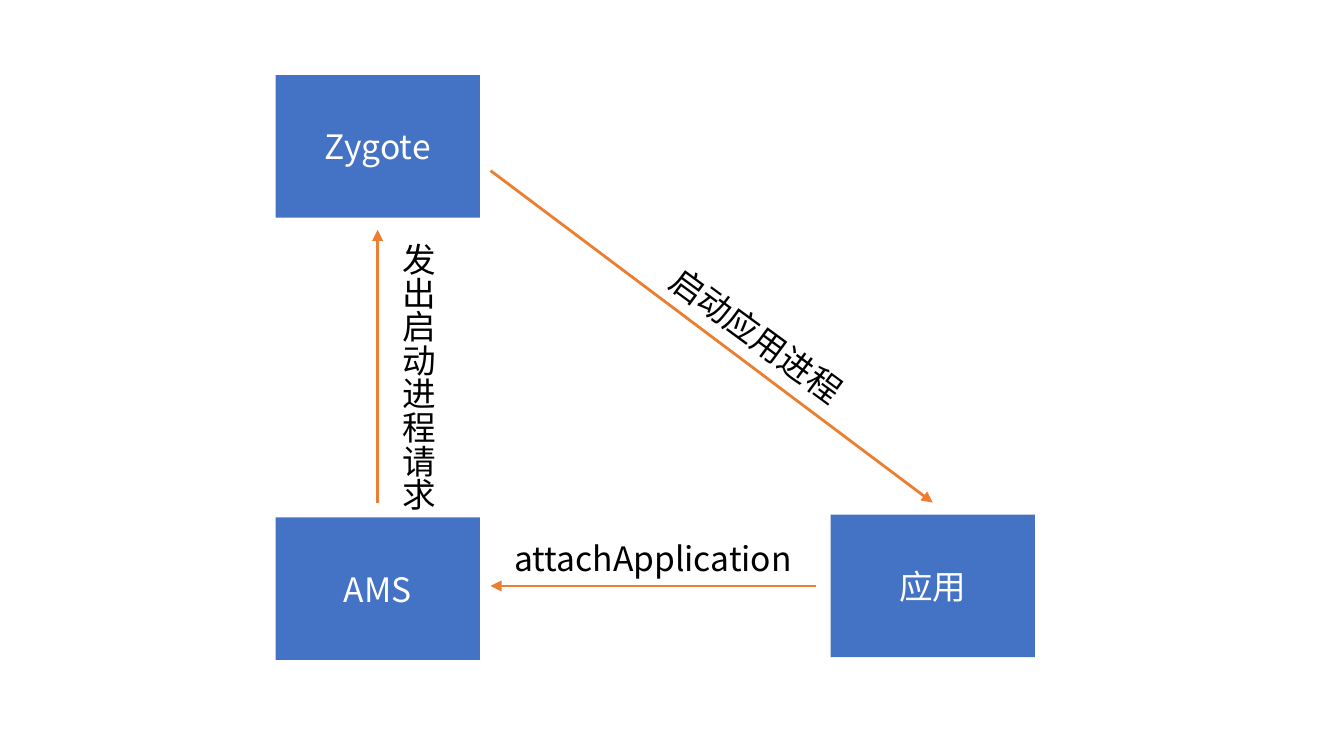
from lxml import etree
from pptx import Presentation
from pptx.dml.color import RGBColor
from pptx.enum import shapes, text
from pptx.oxml.ns import qn
from pptx.util import Inches, Pt

FONT = "Noto Sans CJK SC"
BLUE = RGBColor(0x44, 0x72, 0xC4)
ORANGE = RGBColor(0xED, 0x7D, 0x31)
WHITE = RGBColor(0xFF, 0xFF, 0xFF)
BLACK = RGBColor(0, 0, 0)
NODE_SIZE = (1.52, 1.06)


def write(frame, wording, color, align):
    """Put one formatted paragraph into a text frame."""
    paragraph = frame.paragraphs[0]
    paragraph.text = wording
    paragraph.alignment = align
    font = paragraph.font
    font.size, font.name = Pt(18), FONT
    font.color.rgb = color
    defaults = paragraph._p.get_or_add_pPr().find(qn("a:defRPr"))
    etree.SubElement(defaults, qn("a:ea"), typeface=FONT)


def add_node(slide, name, left, top):
    """Draw one process as a blue box."""
    node = slide.shapes.add_shape(
        shapes.MSO_SHAPE.RECTANGLE, *map(Inches, (left, top, *NODE_SIZE)))
    node.shadow.inherit = False
    node.fill.solid()
    node.fill.fore_color.rgb = BLUE
    node.line.fill.background()
    node.text_frame.vertical_anchor = text.MSO_ANCHOR.MIDDLE
    write(node.text_frame, name, WHITE, text.PP_ALIGN.CENTER)


def add_arrow(slide, start, end):
    """Draw an orange arrow between two points."""
    arrow = slide.shapes.add_connector(
        shapes.MSO_CONNECTOR.STRAIGHT, *map(Inches, (*start, *end)))
    arrow.line.color.rgb = ORANGE
    arrow.line.width = Pt(1.5)
    etree.SubElement(arrow.line._get_or_add_ln(), qn("a:tailEnd"), type="triangle")
    etree.SubElement(arrow._element.spPr, qn("a:effectLst"))


def add_label(slide, wording, box, rotation=0, vertical=False):
    """Add the caption of an arrow, rotated or set vertically if asked."""
    label = slide.shapes.add_textbox(*map(Inches, box))
    label.rotation = rotation
    frame = label.text_frame
    frame.word_wrap = False
    frame.auto_size = text.MSO_AUTO_SIZE.SHAPE_TO_FIT_TEXT
    if vertical:
        frame._txBody.bodyPr.set("vert", "eaVert")
    write(frame, wording, BLACK, text.PP_ALIGN.LEFT)


def main():
    """Build the process start diagram."""
    deck = Presentation()
    deck.slide_width = Inches(10)
    deck.slide_height = deck.slide_width * 9 // 16
    slide = deck.slides.add_slide(deck.slide_layouts[6])

    add_node(slide, "AMS", 2.05, 3.85)
    add_node(slide, "Zygote", 2.05, 0.56)
    add_node(slide, "应用", 6.18, 3.83)

    add_arrow(slide, (2.81, 3.74), (2.81, 1.71))
    add_label(slide, "发出启动进程请求", (2.81, 1.71, 0.5, 2.12), vertical=True)
    add_arrow(slide, (3.65, 1.27), (6.94, 3.74))
    add_label(slide, "启动应用进程", (4.78, 2.3, 1.72, 0.4), rotation=36.3)
    add_arrow(slide, (6.07, 4.36), (3.65, 4.36))
    add_label(slide, "attachApplication", (3.73, 3.95, 2.33, 0.4))

    deck.save("out.pptx")


main()
